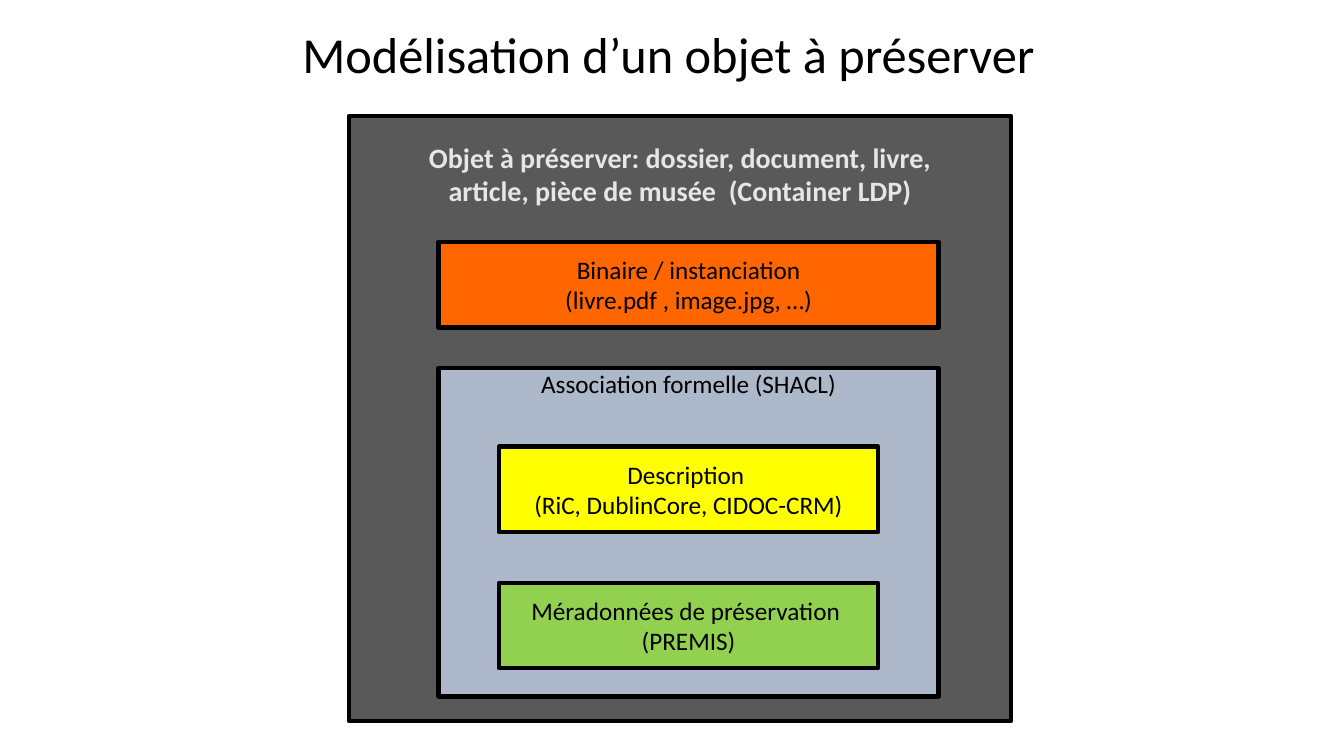
from dataclasses import dataclass

from pptx import Presentation
from pptx.dml.color import RGBColor
from pptx.enum.shapes import MSO_SHAPE
from pptx.enum.text import MSO_ANCHOR, PP_ALIGN
from pptx.util import Inches, Pt

RECTANGLE = MSO_SHAPE.RECTANGLE
TOP, MIDDLE = MSO_ANCHOR.TOP, MSO_ANCHOR.MIDDLE
LEFT, CENTER = PP_ALIGN.LEFT, PP_ALIGN.CENTER


@dataclass(frozen=True)
class Theme:
    font: str = "Calibri"
    ink: str = "000000"
    pale: str = "E7E6E6"
    container: str = "595959"
    association: str = "ADB9CA"
    binary: str = "FF6600"
    description: str = "FFFF00"
    preservation: str = "92D050"
    title_size: int = 36
    heading_size: int = 20
    body_size: int = 18
    border: int = 3


class SlideBuilder:
    def __init__(self, slide, theme):
        self.slide = slide
        self.theme = theme

    def set_text(self, frame, lines, size, color, align, bold=False):
        frame.text = "\n".join(lines)
        for paragraph in frame.paragraphs:
            paragraph.alignment = align
            paragraph.font.name = self.theme.font
            paragraph.font.size = Pt(size)
            paragraph.font.bold = bold
            paragraph.font.color.rgb = RGBColor.from_string(color)

    def title(self, text, left, top, width, height):
        label = self.slide.shapes.add_textbox(
            Inches(left), Inches(top), Inches(width), Inches(height))
        label.text_frame.word_wrap = False
        self.set_text(label.text_frame, [text], self.theme.title_size,
                      self.theme.ink, LEFT)

    def box(self, lines, left, top, width, height, fill, inset=None,
            size=None, color=None, bold=False):
        """Bordered box; an inset places its text that far below the top."""
        box = self.slide.shapes.add_shape(
            RECTANGLE, Inches(left), Inches(top), Inches(width), Inches(height))
        box.shadow.inherit = False
        box.fill.solid()
        box.fill.fore_color.rgb = RGBColor.from_string(fill)
        box.line.color.rgb = RGBColor.from_string(self.theme.ink)
        box.line.width = Pt(self.theme.border)
        frame = box.text_frame
        frame.word_wrap = True
        frame.vertical_anchor = MIDDLE
        if inset is not None:
            frame.vertical_anchor = TOP
            frame.margin_top = Inches(inset)
        self.set_text(frame, lines, size or self.theme.body_size,
                      color or self.theme.ink, CENTER, bold)


def main():
    deck = Presentation()
    deck.slide_width, deck.slide_height = Inches(13.33), Inches(7.5)
    theme = Theme()
    builder = SlideBuilder(deck.slides.add_slide(deck.slide_layouts[6]), theme)

    builder.title("Modélisation d’un objet à préserver", 2.9, 0.18, 7.53, 0.71)

    # Object to preserve, which holds everything else
    builder.box(["Objet à préserver: dossier, document, livre,",
                 "article, pièce de musée  (Container LDP)"],
                3.46, 1.15, 6.57, 6, theme.container, inset=0.24,
                size=theme.heading_size, color=theme.pale, bold=True)

    # Direct contents: the binary and the formal association
    part_left, part_width, entry_height = 4.35, 4.96, 0.85
    builder.box(["Binaire / instanciation", "(livre.pdf , image.jpg, …)"],
                part_left, 2.4, part_width, entry_height, theme.binary)
    builder.box(["Association formelle (SHACL)"],
                part_left, 3.65, part_width, 3.26, theme.association, inset=0)

    # Metadata entries, centred inside the association
    margin, first_top, step = 0.6, 4.43, 1.35
    metadata = [
        (["Description ", "(RiC, DublinCore, CIDOC-CRM)"], theme.description),
        (["Méradonnées de préservation ", "(PREMIS)"], theme.preservation),
    ]
    for row, (lines, fill) in enumerate(metadata):
        builder.box(lines, part_left + margin, first_top + row * step,
                    part_width - 2 * margin, entry_height, fill)

    deck.save("out.pptx")


if __name__ == "__main__":
    main()
